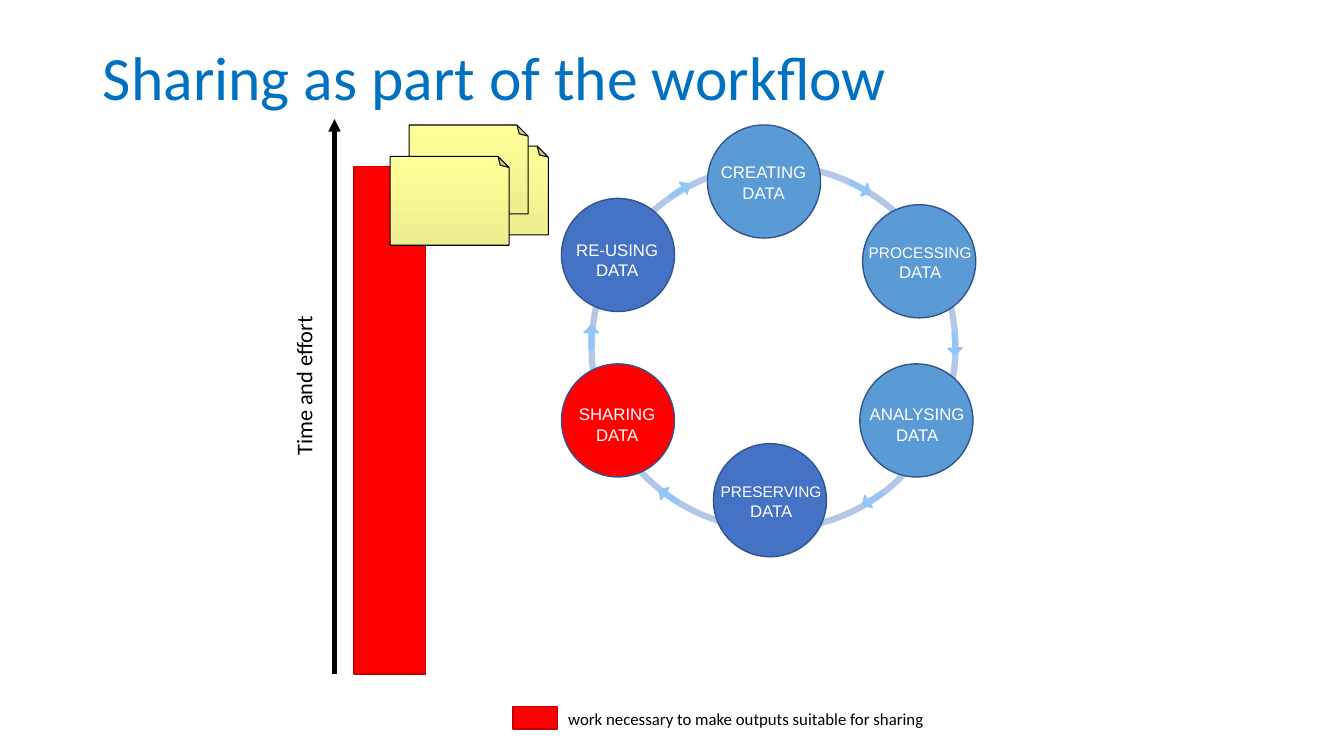
from lxml.etree import SubElement
from pptx import Presentation
from pptx.dml.color import RGBColor
from pptx.enum.shapes import MSO_CONNECTOR, MSO_SHAPE
from pptx.enum.text import MSO_ANCHOR, MSO_AUTO_SIZE, PP_ALIGN
from pptx.oxml.ns import qn
from pptx.util import Cm, Pt

COLORS = {
    "title": "0070C0", "black": "000000", "white": "FFFFFF",
    "ring": "B4C7E7", "arrow": "91C6F7", "outline": "325491",
    "research": "5B9BD5", "archive": "4472C4",
    "effort": "FF0000", "effort_line": "C00000",
    "note_dark": "EEEE8F", "note_light": "FFFF99",
}
CIRCLE = 2.85

# colour, circle position, label box, paragraphs of (text, size) runs
STAGES = [
    ("research", (17.83, 3.15), (17.91, 3.96, 2.67, 1.27), [[("CREATING DATA", 12)]]),
    ("research", (21.74, 5.16), (21.49, 5.97, 3.4, 1.27),
     [[("PROCESSING", 11), (" DATA", 12)]]),
    ("research", (21.67, 9.17), (21.49, 9.98, 3.25, 1.37),
     [[("ANALYSING", 12), (" ", 14), ("DATA", 12)]]),
    ("archive", (17.98, 11.18), (17.68, 11.99, 3.51, 1.27),
     [[("PRESERVING", 11), (" DATA", 12)]]),
    ("effort", (14.15, 9.17), (14.22, 10.06, 2.67, 1.27),
     [[("SHARING", 12)], [("DATA", 12)]]),
    ("archive", (14.15, 5), (14.22, 5.92, 2.67, 1.27), [[("RE-USING DATA", 12)]]),
]
# left, top, rotation
ARROWS = [
    (21.39, 4.55, 27), (23.77, 8.48, 86.9), (21.69, 12.4, 147.5),
    (16.56, 12.32, 212.9), (14.61, 8.31, 270), (16.84, 4.62, 326.5),
]
NOTES = [(11.2, 3.3), (10.69, 2.77), (10.21, 3.56)]


def rgb(name):
    return RGBColor.from_string(COLORS[name])


def write(p, text, size, font="Calibri", color="black"):
    r = p.add_run()
    r.text = text
    r.font.size = Pt(size)
    r.font.name = font
    r.font.color.rgb = rgb(color)


class SlideBuilder:
    """Draws on the slide, or in the group opened last."""

    def __init__(self, slide):
        self.slide = slide
        self.shapes = slide.shapes

    def open_group(self):
        self.shapes = self.slide.shapes.add_group_shape().shapes

    def close_group(self):
        self.shapes = self.slide.shapes

    def title(self, text, box):
        sp = self.slide.shapes.title
        sp.left, sp.top, sp.width, sp.height = map(Cm, box)
        tf = sp.text_frame
        tf.vertical_anchor = MSO_ANCHOR.MIDDLE
        p = tf.paragraphs[0]
        p.alignment = PP_ALIGN.LEFT
        p.line_spacing = 0.9
        write(p, text, 44, color="title")

    def shape(self, kind, box, fill=None, line="black", width=1, rotation=0):
        sp = self.shapes.add_shape(kind, *map(Cm, box))
        sp.shadow.inherit = False
        sp.rotation = rotation
        sp.line.color.rgb = rgb(line)
        sp.line.width = Pt(width)
        if fill:
            sp.fill.solid()
            sp.fill.fore_color.rgb = rgb(fill)
        else:
            sp.fill.background()
        return sp

    def note(self, left, top):
        sp = self.shape(MSO_SHAPE.FOLDED_CORNER, (left, top, 2.24, 3),
                        width=0.75, rotation=270)
        # python-pptx lists no adjustment for this preset
        adjustments = next(sp._element.iter(qn("a:avLst")))
        SubElement(adjustments, qn("a:gd"), name="adj", fmla="val 12500")
        sp.fill.gradient()
        sp.fill.gradient_angle = 0
        for stop, name, position in zip(sp.fill.gradient_stops,
                                        ("note_dark", "note_light"), (0, 1)):
            stop.color.rgb = rgb(name)
            stop.position = position

    def text(self, box, paragraphs, align=PP_ALIGN.LEFT, wrap=False, rotation=0, **style):
        sp = self.shapes.add_textbox(*map(Cm, box))
        sp.rotation = rotation
        tf = sp.text_frame
        tf.word_wrap = wrap
        tf.auto_size = MSO_AUTO_SIZE.SHAPE_TO_FIT_TEXT
        for i, runs in enumerate(paragraphs):
            p = tf.add_paragraph() if i else tf.paragraphs[0]
            p.alignment = align
            for text, size in runs:
                write(p, text, size, **style)

    def axis(self, x, bottom, top):
        line = self.shapes.add_connector(MSO_CONNECTOR.STRAIGHT,
                                         Cm(x), Cm(bottom), Cm(x), Cm(top))
        line.line.color.rgb = rgb("black")
        line.line.width = Pt(3)
        SubElement(line.line._get_or_add_ln(), qn("a:tailEnd"), type="triangle")
        SubElement(line._element.spPr, qn("a:effectLst"))


def main():
    prs = Presentation()
    prs.slide_width, prs.slide_height = Cm(33.87), Cm(19.05)
    s = SlideBuilder(prs.slides.add_slide(prs.slide_layouts[5]))
    s.title("Sharing as part of the workflow", (2.34, 1.02, 29.21, 2.01))

    s.open_group()
    s.shape(MSO_SHAPE.OVAL, (14.91, 4.17, 9.17, 9.17), line="ring", width=4.5)
    for color, position, label_box, label in STAGES:
        s.shape(MSO_SHAPE.OVAL, (*position, CIRCLE, CIRCLE), color, "outline")
        s.text(label_box, label, PP_ALIGN.CENTER, wrap=True, font="Arial", color="white")
    for left, top, rotation in ARROWS:
        arrow = s.shape(MSO_SHAPE.RIGHT_ARROW, (left, top, 0.58, 0.36),
                        "arrow", "arrow", rotation=rotation)
        arrow.adjustments[0] = 0.28
    s.close_group()

    s.axis(8.43, 16.99, 3)
    s.text((5.61, 9.22, 4.09, 0.94), [[("Time and effort", 16)]], rotation=270)
    s.shape(MSO_SHAPE.RECTANGLE, (8.92, 4.19, 1.8, 12.8), "effort", "effort_line")

    s.open_group()
    for left, top in NOTES:
        s.note(left, top)
    s.close_group()

    s.shape(MSO_SHAPE.RECTANGLE, (12.93, 17.81, 1.12, 0.56), "effort", "effort_line")
    s.text((14.07, 17.73, 9.58, 0.76),
           [[("work necessary to make outputs suitable for sharing", 12)]])
    prs.save("out.pptx")


if __name__ == "__main__":
    main()
